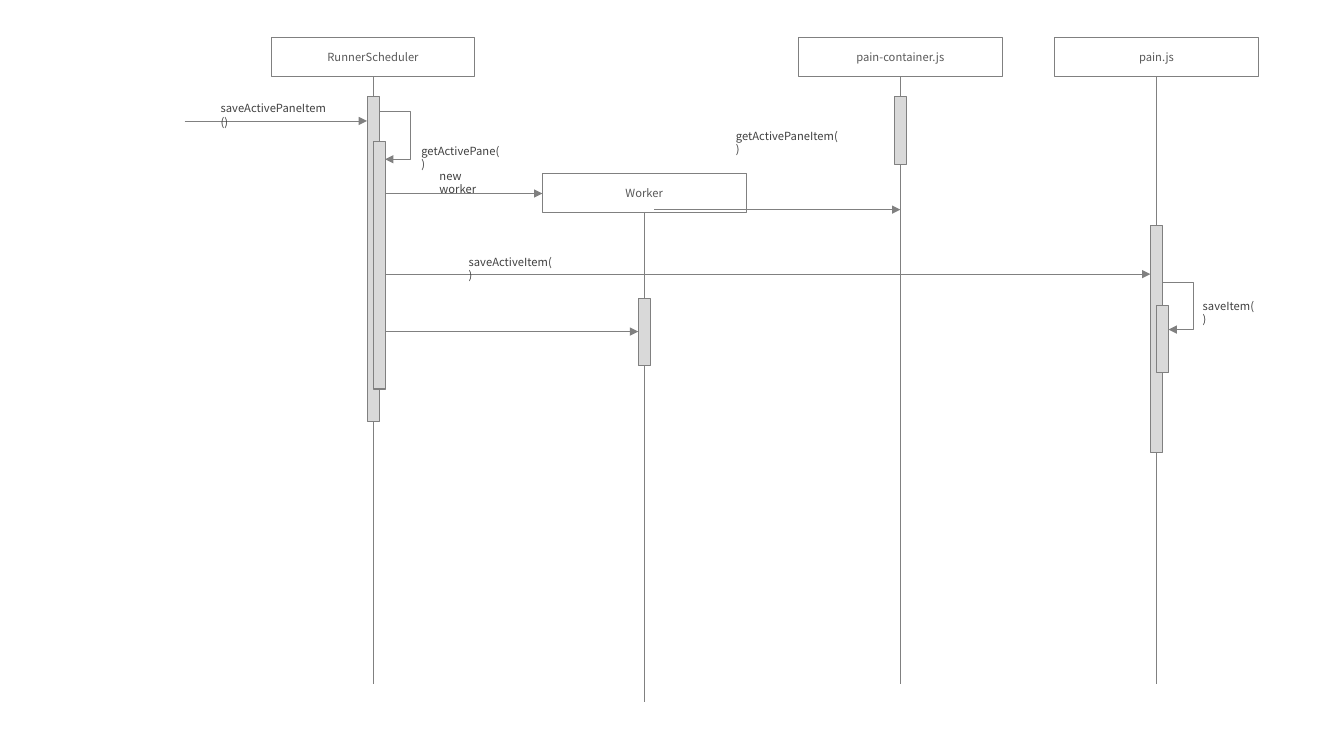
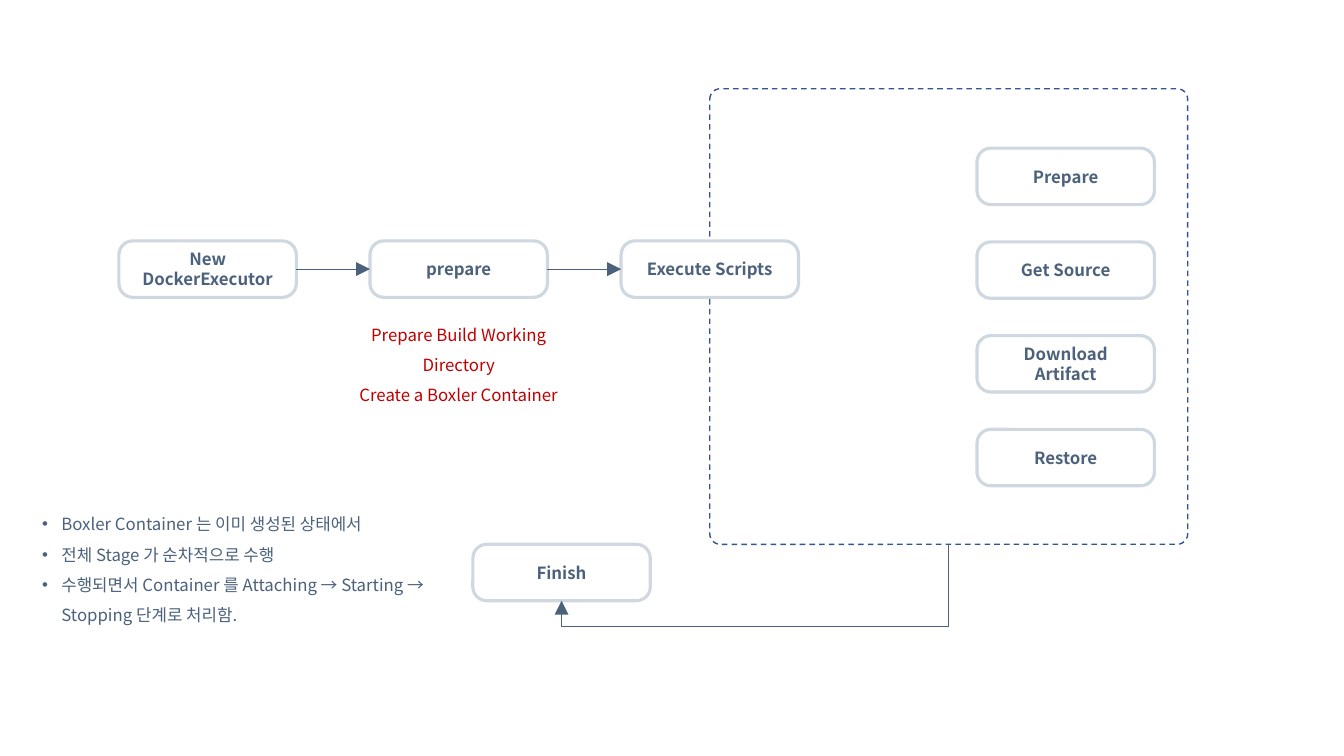
from pptx import Presentation
from pptx.dml.color import RGBColor
from pptx.enum.dml import MSO_LINE
from pptx.enum.shapes import MSO_CONNECTOR, MSO_SHAPE
from pptx.enum.text import MSO_ANCHOR, PP_ALIGN
from pptx.oxml.ns import qn
from pptx.util import Inches, Pt
from lxml import etree

RECT, ROUND = MSO_SHAPE.RECTANGLE, MSO_SHAPE.ROUNDED_RECTANGLE
STRAIGHT, ELBOW = MSO_CONNECTOR.STRAIGHT, MSO_CONNECTOR.ELBOW
LEFT, CENTER = PP_ALIGN.LEFT, PP_ALIGN.CENTER

THEME = {
    "font": "Noto Sans CJK KR",
    # Sequence diagram
    "head": {"fill": "FFFFFF", "line": "808080", "width": 0.75, "size": 8, "color": "595959"},
    "bar": {"fill": "D9D9D9", "line": "808080", "width": 0.75},
    "label": {"size": 8, "color": "404040", "align": LEFT},
    "lifeline": {"line": "808080", "width": 0.5},
    "message": {"line": "808080", "width": 0.5, "arrow": "med"},
    # Flow chart
    "frame": {"fill": "FFFFFF", "line": "325491", "width": 1, "dash": MSO_LINE.DASH, "corner": 0.023},
    "card": {"fill": "FFFFFF", "line": "CFD7E0", "width": 2.25, "corner": 0.246,
             "size": 12, "color": "4B617C", "bold": True},
    "remark": {"size": 12, "color": "C00000", "spacing": 1.5},
    "bullets": {"size": 12, "color": "4B617C", "align": LEFT, "spacing": 1.5, "bullet": "•"},
    "flow": {"line": "4B617C", "width": 0.5, "arrow": "lg"},
}


def box(s, kind, at, style, texts=()):
    """Add a preset shape, or a text box when kind is None."""
    f = THEME[style]
    at = [Inches(v) for v in at]
    sp = s.shapes.add_shape(kind, *at) if kind else s.shapes.add_textbox(*at)
    if kind:
        sp.shadow.inherit = False
        sp.fill.solid()
        sp.fill.fore_color.rgb = RGBColor.from_string(f["fill"])
        sp.line.color.rgb = RGBColor.from_string(f["line"])
        sp.line.width = Pt(f["width"])
        if "dash" in f:
            sp.line.dash_style = f["dash"]
        if "corner" in f:
            sp.adjustments[0] = f["corner"]
    tf = sp.text_frame
    tf.word_wrap = True
    tf.vertical_anchor = MSO_ANCHOR.MIDDLE if kind else MSO_ANCHOR.TOP
    for i, text in enumerate(texts):
        p = tf.paragraphs[0] if i == 0 else tf.add_paragraph()
        p.alignment = f.get("align", CENTER)
        if "spacing" in f:
            p.line_spacing = f["spacing"]
        if "bullet" in f:
            pPr = p._p.get_or_add_pPr()
            pPr.set("marL", str(Inches(0.19)))
            pPr.set("indent", str(-Inches(0.19)))
            etree.SubElement(pPr, qn("a:buFont"), typeface="Arial")
            etree.SubElement(pPr, qn("a:buChar"), char=f["bullet"])
        r = p.add_run()
        r.text = text
        for name, value in {"size": Pt(f["size"]), "bold": f.get("bold", False),
                            "name": THEME["font"]}.items():
            setattr(r.font, name, value)
        r.font.color.rgb = RGBColor.from_string(f["color"])
        etree.SubElement(r._r.get_or_add_rPr(), qn("a:ea"), typeface=THEME["font"])
    return sp


def link(s, ends, style, bend=None, turn=0):
    """Add a line; bend is where an elbow turns, as a share of its width."""
    f = THEME[style]
    ln = s.shapes.add_connector(ELBOW if bend else STRAIGHT, *[Inches(v) for v in ends])
    ln.line.color.rgb = RGBColor.from_string(f["line"])
    ln.line.width = Pt(f["width"])
    spPr = ln._element.spPr
    etree.SubElement(spPr, qn("a:effectLst"))
    if "arrow" in f:
        etree.SubElement(spPr.find(qn("a:ln")), qn("a:tailEnd"),
                         type="triangle", w=f["arrow"], len=f["arrow"])
    if bend:
        guides = spPr.find(qn("a:prstGeom")).get_or_add_avLst()
        etree.SubElement(guides, qn("a:gd"), name="adj1", fmla=f"val {round(bend * 100000)}")
    if turn:
        spPr.find(qn("a:xfrm")).set("rot", str(turn * 60000))


prs = Presentation()
prs.slide_width, prs.slide_height = Inches(13.33), Inches(7.5)
blank = prs.slide_layouts[6]

# Slide 1: sequence diagram, one column per participant
s = prs.slides.add_slide(blank)
RUNNER, WORKER, CONTAINER, PAIN = 3.7, 6.39, 8.93, 11.47
HEAD_W, HEAD_H, BAR_W = 2.02, 0.39, 0.12
HALF = BAR_W / 2

# Participants: centre, top, lifeline end
for name, x, top, end in [("RunnerScheduler", RUNNER, 0.37, 6.79), ("Worker", WORKER, 1.72, 6.96),
                          ("pain-container.js", CONTAINER, 0.37, 6.79), ("pain.js", PAIN, 0.37, 6.79)]:
    box(s, RECT, (x - HEAD_W / 2, top, HEAD_W, HEAD_H), "head", [name])
    link(s, (x, top + HEAD_H, x, end), "lifeline")

# Activations: centre, top, height; nested ones sit half a bar to the right
for x, top, h in [(RUNNER, 0.96, 3.22), (RUNNER + HALF, 1.4, 2.46), (WORKER, 2.96, 0.67),
                  (CONTAINER, 0.96, 0.67), (PAIN, 2.24, 2.25), (PAIN + HALF, 3.03, 0.67)]:
    box(s, RECT, (x - HALF, top, BAR_W, h), "bar")

# Messages: start, end, height
for x1, x2, y in [(1.83, RUNNER - HALF, 1.2), (RUNNER + BAR_W, WORKER - HEAD_W / 2, 1.92),
                  (6.49, CONTAINER, 2.08), (RUNNER + BAR_W, PAIN - HALF, 2.72),
                  (RUNNER + BAR_W, WORKER - HALF, 3.29)]:
    link(s, (x1, y, x2, y), "message")

# Calls to itself
for x, y in [(RUNNER, 1.11), (PAIN, 2.8)]:
    link(s, (x + HALF, y, x + BAR_W, y + 0.47), "message", bend=0.31 / HALF)

# Message labels: left, top, width
for text, x, y, w in [("saveActivePaneItem()", 2.09, 0.96, 1.27), ("getActivePane()", 4.08, 1.38, 0.99),
                      ("new worker", 4.26, 1.63, 0.68), ("getActivePaneItem()", 7.2, 1.23, 1.22),
                      ("saveActiveItem()", 4.55, 2.48, 1.06), ("saveItem()", 11.83, 2.92, 0.72)]:
    box(s, None, (x, y, w, 0.24), "label", [text])

# Slide 2: executor flow
s = prs.slides.add_slide(blank)
CARD_W, CARD_H, STEP = 1.76, 0.56, 2.49
FLOW_X, FLOW_Y, STAGE_X, FINISH_X, FRAME_END = 1.18, 2.39, 9.69, 4.69, 5.4

# Frame around the stages
box(s, ROUND, (7.04, 0.88, 4.74, FRAME_END - 0.88), "frame")

# Main row with arrows between the cards
for i, name in enumerate(["New DockerExecutor", "prepare", "Execute Scripts"]):
    x, mid = FLOW_X + i * STEP, FLOW_Y + CARD_H / 2
    box(s, ROUND, (x, FLOW_Y, CARD_W, CARD_H), "card", [name])
    if i:
        link(s, (x - STEP + CARD_W, mid, x, mid), "flow")

# Stage column
for i, name in enumerate(["Prepare", "Get Source", "Download Artifact", "Restore"]):
    box(s, ROUND, (STAGE_X, 1.47 + i * 0.93, CARD_W, CARD_H), "card", [name])

# Finish, reached from below the frame by an elbow turned a quarter
box(s, ROUND, (FINISH_X, FRAME_END, CARD_W, CARD_H), "card", ["Finish"])
x1, x2 = 9.41, FINISH_X + CARD_W / 2
mid_x, mid_y, run = (x1 + x2) / 2, FRAME_END + CARD_H / 2, x1 - x2
link(s, (mid_x - CARD_H / 2, mid_y - run / 2, mid_x + CARD_H / 2, mid_y + run / 2),
     "flow", bend=1.45, turn=90)

# Notes beside the flow
box(s, None, (3.21, 3.07, 2.68, 0.67), "remark",
    ["Prepare Build Working Directory", "Create a Boxler Container"])
box(s, None, (0.32, 4.95, 4.21, 1.62), "bullets",
    ["Boxler Container 는 이미 생성된 상태에서", "전체 Stage 가 순차적으로 수행",
     "수행되면서 Container 를 Attaching → Starting → Stopping 단계로 처리함."])

prs.save("out.pptx")
